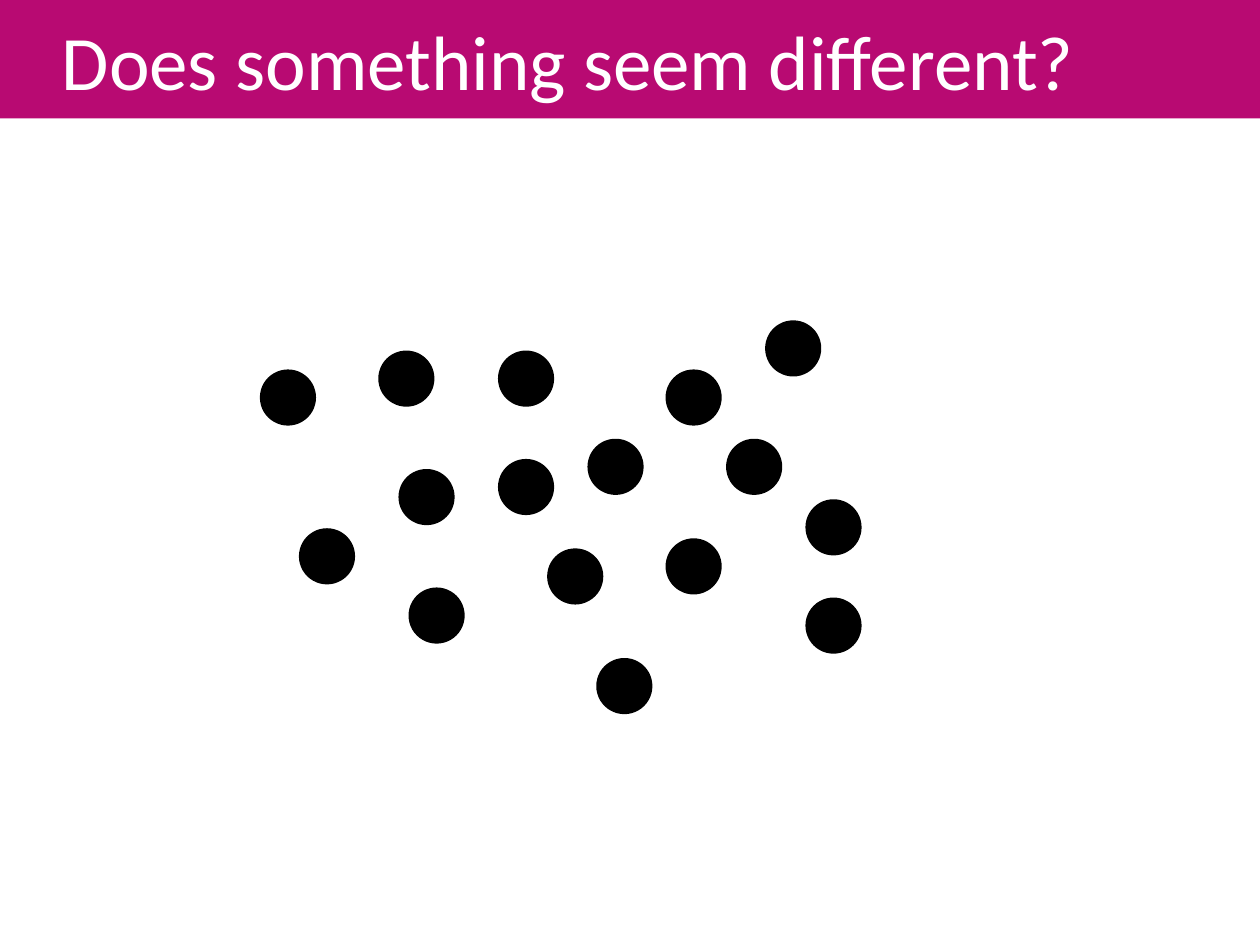
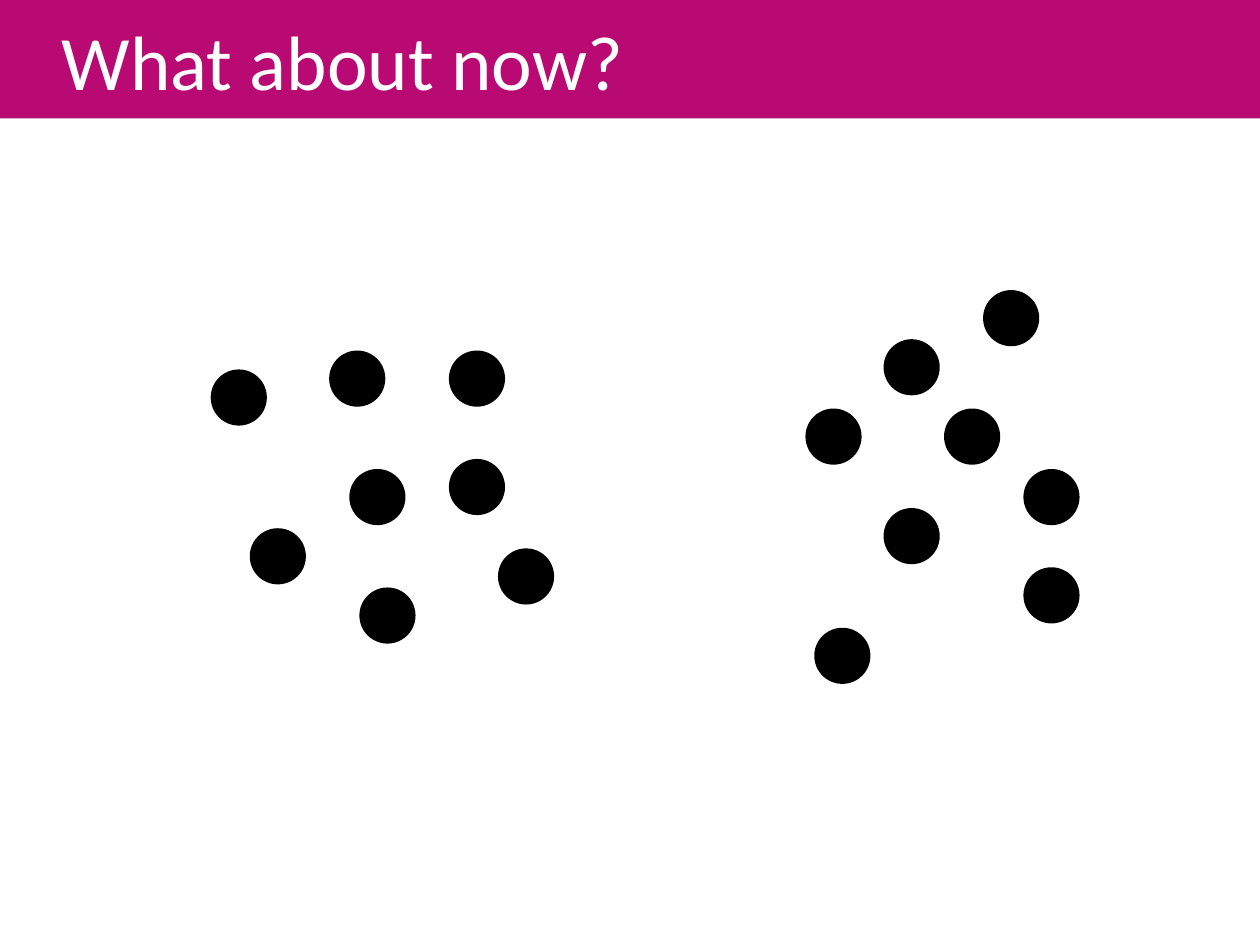
import dataclasses

import pptx
import pptx.dml.color
import pptx.enum.shapes
import pptx.enum.text
import pptx.util

Inches = pptx.util.Inches
Pt = pptx.util.Pt
RGBColor = pptx.dml.color.RGBColor


@dataclasses.dataclass(frozen=True)
class Theme:
    band: RGBColor = RGBColor(0xB8, 0x0A, 0x72)
    title_ink: RGBColor = RGBColor(0xFF, 0xFF, 0xFF)
    background: RGBColor = RGBColor(0xFF, 0xFF, 0xFF)
    dot: RGBColor = RGBColor(0x00, 0x00, 0x00)
    font: str = "Calibri"
    title_size: int = 44
    dot_outline: int = 4


SLIDE_WIDTH, SLIDE_HEIGHT = 10, 7.5
BAND_HEIGHT = 0.94
TITLE_INDENT = 0.39
DOT_SIZE = 0.39

# Left and top of each dot while the two groups sit together.
LEFT_GROUP = [
    (2.09, 2.96), (2.4, 4.22), (3.98, 3.67), (3.03, 2.81),
    (4.37, 4.38), (3.98, 2.81), (3.27, 4.69), (3.19, 3.75),
]
RIGHT_GROUP = [
    (4.69, 3.51), (5.31, 4.3), (5.31, 2.96), (5.79, 3.51),
    (6.1, 2.57), (6.42, 4.77), (6.42, 3.99), (4.76, 5.25),
]
LEFT_SHIFT = (-0.39, 0)
RIGHT_SHIFT = (1.73, -0.24)


class Deck:
    def __init__(self, theme):
        self.theme = theme
        self.presentation = pptx.Presentation()
        self.presentation.slide_width = Inches(SLIDE_WIDTH)
        self.presentation.slide_height = Inches(SLIDE_HEIGHT)
        self.slide = None

    def start_slide(self, heading):
        title_only = self.presentation.slide_layouts[5]
        self.slide = self.presentation.slides.add_slide(title_only)
        self.slide.background.fill.solid()
        self.slide.background.fill.fore_color.rgb = self.theme.background
        self.title(heading)

    def title(self, heading):
        band = self.slide.shapes.title
        band.left, band.top = Inches(0), Inches(0)
        band.width, band.height = Inches(SLIDE_WIDTH), Inches(BAND_HEIGHT)
        band.fill.solid()
        band.fill.fore_color.rgb = self.theme.band

        frame = band.text_frame
        frame.auto_size = pptx.enum.text.MSO_AUTO_SIZE.NONE
        frame.vertical_anchor = pptx.enum.text.MSO_ANCHOR.MIDDLE
        line = frame.paragraphs[0]
        line.alignment = pptx.enum.text.PP_ALIGN.LEFT
        properties = line._p.get_or_add_pPr()
        properties.set("marL", str(Inches(TITLE_INDENT)))
        properties.set("indent", "0")

        words = line.add_run()
        words.text = heading
        words.font.name = self.theme.font
        words.font.size = Pt(self.theme.title_size)
        words.font.color.rgb = self.theme.title_ink

    def dot(self, left, top):
        dot = self.slide.shapes.add_shape(
            pptx.enum.shapes.MSO_SHAPE.OVAL,
            Inches(left), Inches(top), Inches(DOT_SIZE), Inches(DOT_SIZE),
        )
        dot.shadow.inherit = False
        dot.fill.solid()
        dot.fill.fore_color.rgb = self.theme.dot
        dot.line.color.rgb = self.theme.dot
        dot.line.width = Pt(self.theme.dot_outline)

    def dot_group(self, positions, shift=(0, 0)):
        for left, top in positions:
            self.dot(left + shift[0], top + shift[1])


def main():
    deck = Deck(Theme())

    deck.start_slide("Does something seem different?")
    deck.dot_group(LEFT_GROUP)
    deck.dot_group(RIGHT_GROUP)

    deck.start_slide("What about now?")
    deck.dot_group(LEFT_GROUP, LEFT_SHIFT)
    deck.dot_group(RIGHT_GROUP, RIGHT_SHIFT)

    deck.presentation.save("out.pptx")


if __name__ == "__main__":
    main()
